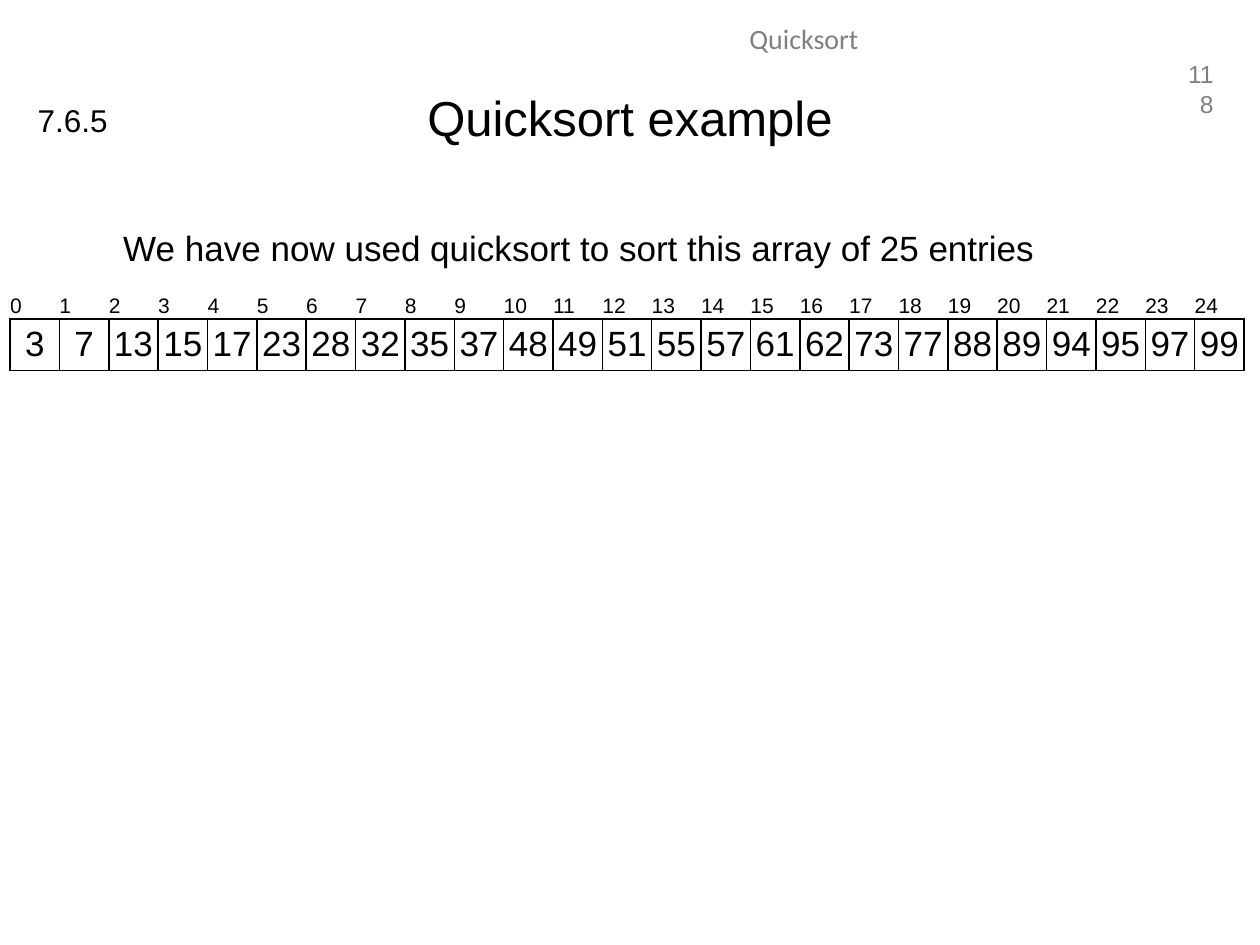
from lxml import etree
from pptx import Presentation
from pptx import util as u
from pptx.dml.color import RGBColor
from pptx.enum import text as t
from pptx.oxml import ns

BLACK, GREY = "000000", "808080"
VALUES = [3, 7, 13, 15, 17, 23, 28, 32, 35, 37, 48, 49, 51, 55, 57,
          61, 62, 73, 77, 88, 89, 94, 95, 97, 99]
LEFT, CENTER, RIGHT = t.PP_ALIGN.LEFT, t.PP_ALIGN.CENTER, t.PP_ALIGN.RIGHT


def color(font, value):
    font.color.rgb = RGBColor.from_string(value)


def write(frame, words, size=20, face="Arial", fill=BLACK, align=LEFT, hang=0):
    """Put one paragraph in a frame; hang is the hanging indent in inches."""
    para = frame.paragraphs[0]
    para.alignment = align
    if hang:
        props = para._p.get_or_add_pPr()
        props.set("marL", str(u.Inches(hang)))
        props.set("indent", str(-u.Inches(hang)))
    run = para.add_run()
    run.text = words
    run.font.size = u.Pt(size)
    run.font.name = face
    color(run.font, fill)


def add_text(slide, place, words, anchor=t.MSO_ANCHOR.TOP, wrap=True, **form):
    box = slide.shapes.add_textbox(*map(u.Inches, place))
    frame = box.text_frame
    frame.word_wrap = wrap
    frame.vertical_anchor = anchor
    write(frame, words, **form)


def add_border(cell, sides, fill=BLACK, width=1):
    props = cell._tc.get_or_add_tcPr()
    for side in sides:
        line = etree.SubElement(props, ns.qn(f"a:ln{side}"), w=str(u.Pt(width)))
        solid = etree.SubElement(line, ns.qn("a:solidFill"))
        etree.SubElement(solid, ns.qn("a:srgbClr"), val=fill)


def fill_cell(cell, words, sides, **form):
    cell.margin_left = cell.margin_right = 0
    cell.margin_top = cell.margin_bottom = 0
    cell.vertical_anchor = t.MSO_ANCHOR.MIDDLE
    add_border(cell, sides)
    cell.fill.background()
    write(cell.text_frame, words, **form)


def add_array(slide, values):
    """Draw the array as a table, with the indices above the entries."""
    place = map(u.Inches, (0.08, 2.33, 9.8, 0.61))
    table = slide.shapes.add_table(2, len(values), *place).table
    table.first_row = table.horz_banding = False
    for row, height in zip(table.rows, (0.2, 0.41)):
        row.height = u.Inches(height)
    for col, value in enumerate(values):
        fill_cell(table.cell(0, col), str(col), "B", size=12)
        fill_cell(table.cell(1, col), str(value), "LRTB", align=CENTER)


def main():
    deck = Presentation()
    deck.slide_width, deck.slide_height = u.Inches(10), u.Inches(7.5)
    slide = deck.slides.add_slide(deck.slide_layouts[6])
    add_text(slide, (9.29, 0.42, 0.44, 0.33), "118",
             size=14, fill=GREY, align=RIGHT)
    add_text(slide, (3.19, 0.12, 6.38, 0.4), "Quicksort",
             size=16, face="Calibri", fill=GREY, align=CENTER)
    add_text(slide, (0.5, 0.3, 9, 1.25), "Quicksort example",
             anchor=t.MSO_ANCHOR.MIDDLE, size=28, align=CENTER)
    add_text(slide, (0.5, 1.75, 9, 4.95),
             "\tWe have now used quicksort to sort this array of 25 entries",
             hang=0.38)
    add_text(slide, (0.2, 0.75, 0.76, 0.4), "7.6.5", wrap=False, size=18)
    add_array(slide, VALUES)
    deck.save("out.pptx")


if __name__ == "__main__":
    main()
